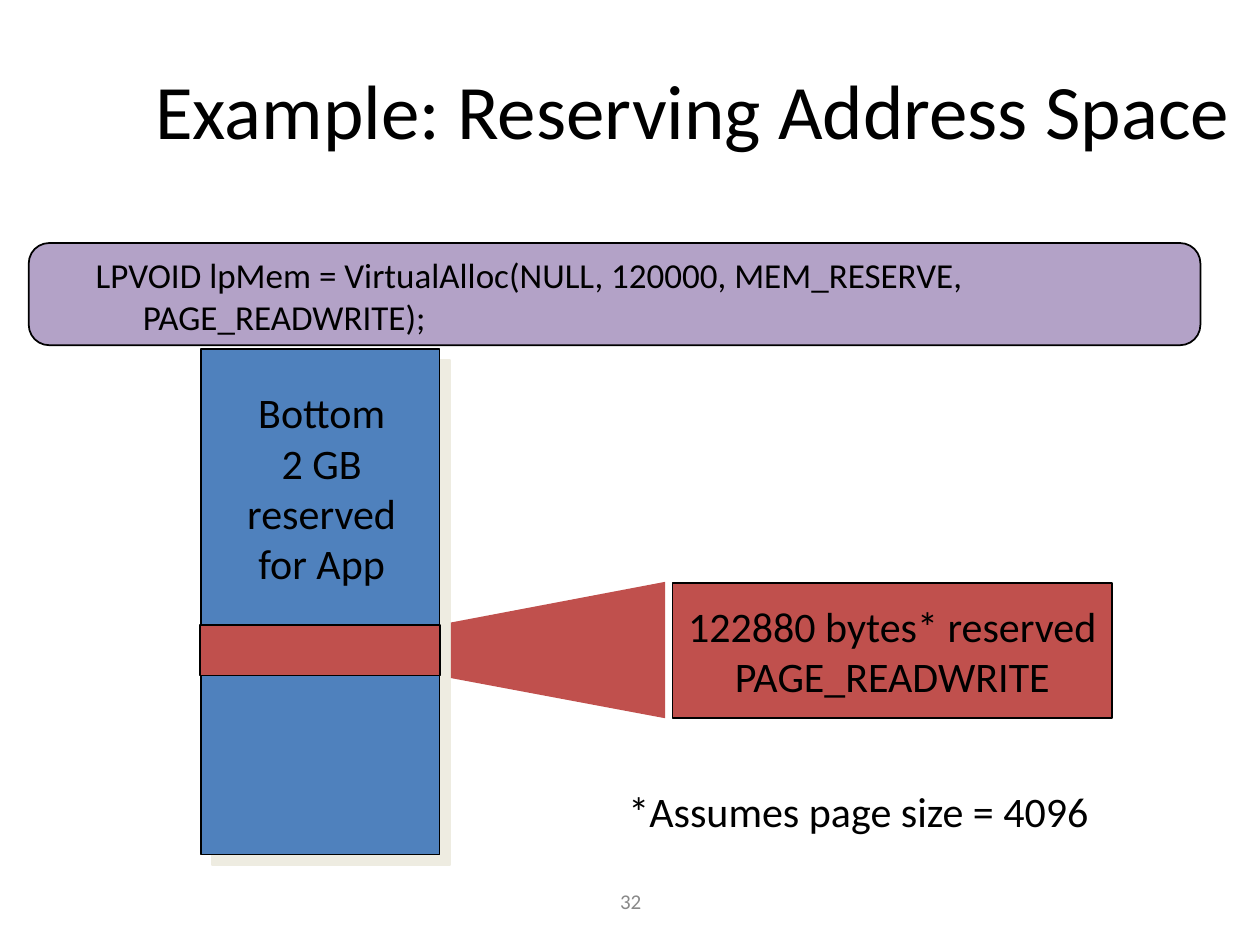
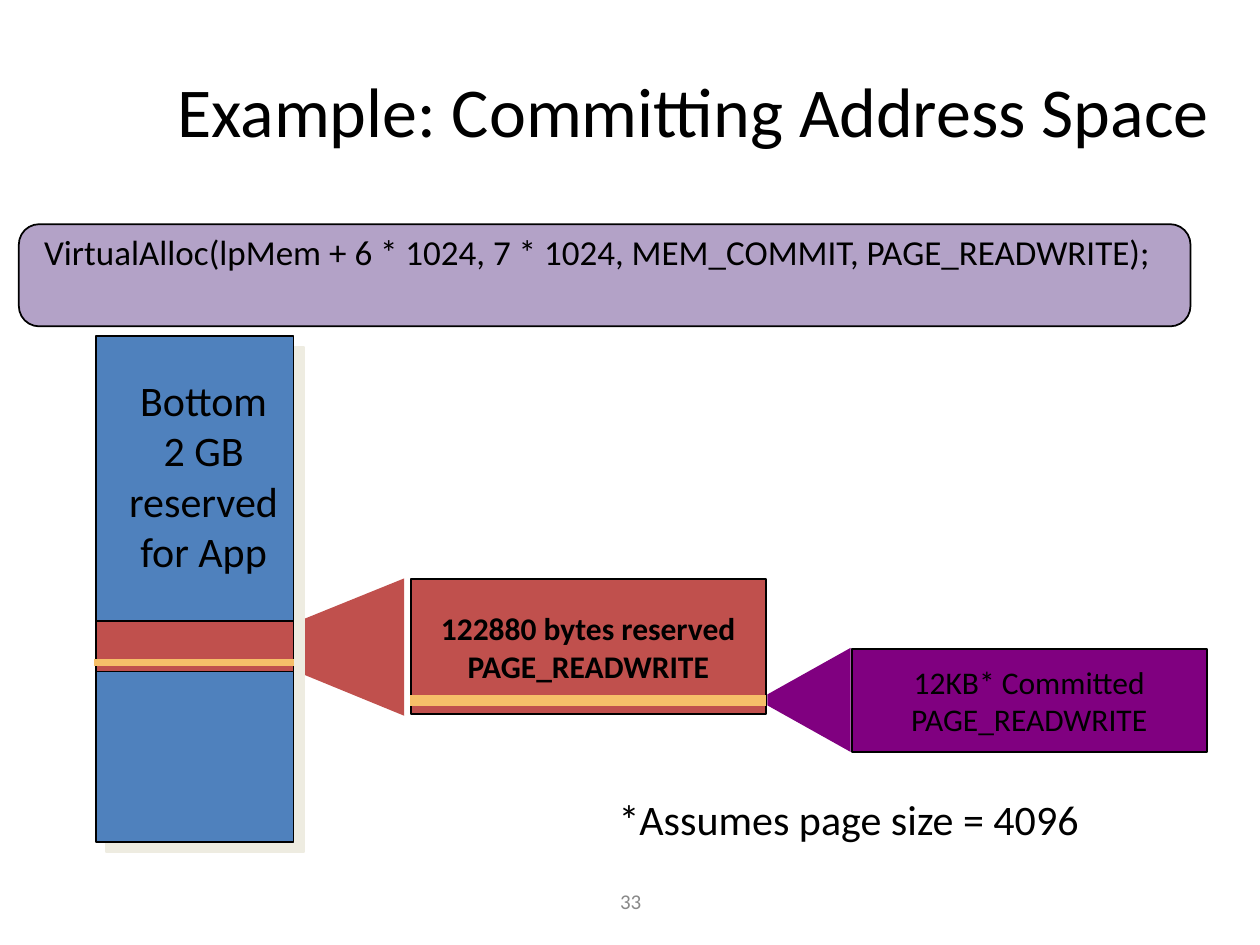
"""Build two slides on reserving and committing address space."""
from dataclasses import dataclass

from lxml.etree import SubElement
from pptx import Presentation
from pptx.dml.color import RGBColor
from pptx.enum.shapes import MSO_CONNECTOR, MSO_SHAPE
from pptx.enum.text import MSO_ANCHOR, MSO_AUTO_SIZE, PP_ALIGN
from pptx.oxml.ns import qn
from pptx.util import Cm, Pt

FONT = "Calibri"
BLACK, GREY = "000000", "898989"
LILAC, BLUE, RED, PURPLE = "B3A2C7", "4F81BD", "C0504D", "800080"
ORANGE, SHADOW = "F6BF69", "EEECE1"
TOWER_HEIGHT = 10.19
BAND_HEIGHT = 1.02
TOWER_TEXT = "Bottom\v2 GB\vreserved\vfor App"
NOTE_TEXT = "*Assumes page size = 4096"


@dataclass(frozen=True)
class Area:
    left: float
    top: float
    width: float
    height: float

    def lengths(self) -> tuple:
        return Cm(self.left), Cm(self.top), Cm(self.width), Cm(self.height)


@dataclass(frozen=True)
class Style:
    size: int
    color: str = BLACK
    bold: bool = False
    align: PP_ALIGN = PP_ALIGN.CENTER
    anchor: MSO_ANCHOR = MSO_ANCHOR.TOP
    wrap: bool = False


@dataclass(frozen=True)
class Block:
    area: Area
    fill: str
    text: str
    style: Style


@dataclass(frozen=True)
class Cone:
    left: float
    right: float
    narrow: tuple[float, float]
    wide: tuple[float, float]
    fill: str


@dataclass(frozen=True)
class Stripe:
    start: float
    end: float
    level: float
    weight: int


@dataclass(frozen=True)
class MemorySlide:
    number: str
    title: str
    title_size: int
    banner: tuple[float, float]
    code: str
    code_area: Area
    tower: tuple[float, float, float]
    label: tuple[float, float]
    band: tuple[float, float, float]
    note: tuple[float, float]
    cones: tuple[Cone, ...]
    blocks: tuple[Block, ...]
    stripes: tuple[Stripe, ...] = ()


def rgb(color: str) -> RGBColor:
    return RGBColor.from_string(color)


def write(box, text: str, style: Style) -> None:
    frame = box.text_frame
    frame.text = text
    frame.word_wrap = style.wrap
    frame.auto_size = MSO_AUTO_SIZE.NONE
    frame.vertical_anchor = style.anchor
    for para in frame.paragraphs:
        para.alignment = style.align
        for span in para.runs:
            span.font.name = FONT
            span.font.size = Pt(style.size)
            span.font.bold = style.bold
            span.font.color.rgb = rgb(style.color)


def add_text(page, area: Area, text: str, style: Style):
    box = page.shapes.add_textbox(*area.lengths())
    write(box, text, style)
    return box


def add_box(page, area: Area, fill: str, kind=MSO_SHAPE.RECTANGLE):
    box = page.shapes.add_shape(kind, *area.lengths())
    box.shadow.inherit = False
    box.fill.solid()
    box.fill.fore_color.rgb = rgb(fill)
    box.line.color.rgb = rgb(BLACK)
    box.line.width = Pt(1)
    return box


def add_shadow(box) -> None:
    effects = box._element.spPr.find(qn("a:effectLst"))
    shadow = SubElement(effects, qn("a:outerShdw"), dist=str(Pt(8.5)),
                        dir="2700000", algn="ctr", rotWithShape="0")
    SubElement(shadow, qn("a:srgbClr"), val=SHADOW)


def add_cone(page, cone: Cone) -> None:
    corners = [(cone.right, cone.wide[0]), (cone.left, cone.narrow[0]),
               (cone.left, cone.narrow[1]), (cone.right, cone.wide[1])]
    points = [(Cm(across), Cm(down)) for across, down in corners]
    builder = page.shapes.build_freeform(*points[0])
    builder.add_line_segments(points[1:], close=True)
    shape = builder.convert_to_shape()
    shape.shadow.inherit = False
    shape.fill.solid()
    shape.fill.fore_color.rgb = rgb(cone.fill)
    shape.line.fill.background()


def add_stripe(page, stripe: Stripe) -> None:
    line = page.shapes.add_connector(
        MSO_CONNECTOR.STRAIGHT, Cm(stripe.start), Cm(stripe.level),
        Cm(stripe.end), Cm(stripe.level))
    line.line.color.rgb = rgb(ORANGE)
    line.line.width = Pt(stripe.weight)
    SubElement(line._element.spPr, qn("a:effectLst"))


def add_code(page, area: Area, code: str) -> None:
    box = add_text(page, area, code, Style(20, align=PP_ALIGN.LEFT, wrap=True))
    properties = box.text_frame.paragraphs[0]._p.get_or_add_pPr()
    properties.set("marL", str(Cm(0.95)))
    properties.set("indent", str(-Cm(0.95)))


def add_memory_slide(deck, slide: MemorySlide) -> None:
    page = deck.slides.add_slide(deck.slide_layouts[5])
    title = page.shapes.title
    title.left, title.top, title.width, title.height = Area(
        2.54, 0.61, 22.86, 3.18).lengths()
    write(title, slide.title,
          Style(slide.title_size, anchor=MSO_ANCHOR.MIDDLE, wrap=True))
    add_text(page, Area(8.69, 17.65, 8.05, 1.02), slide.number,
             Style(12, GREY, anchor=MSO_ANCHOR.MIDDLE, wrap=True))

    banner = add_box(page, Area(*slide.banner, 23.62, 2.06), LILAC,
                     MSO_SHAPE.ROUNDED_RECTANGLE)
    banner.adjustments[0] = 0.2
    add_code(page, slide.code_area, slide.code)

    add_shadow(add_box(page, Area(*slide.tower, TOWER_HEIGHT), BLUE))
    add_text(page, Area(*slide.label, 3.53, 4.32), TOWER_TEXT, Style(24))
    add_box(page, Area(*slide.band, BAND_HEIGHT), RED)
    for cone in slide.cones:
        add_cone(page, cone)
    for block in slide.blocks:
        write(add_box(page, block.area, block.fill), block.text, block.style)
    for stripe in slide.stripes:
        add_stripe(page, stripe)
    add_text(page, Area(*slide.note, 9.8, 1.27), NOTE_TEXT,
             Style(24, align=PP_ALIGN.LEFT))


RESERVING = MemorySlide(
    number="32",
    title="Example: Reserving Address Space",
    title_size=44,
    banner=(0.58, 4.9),
    code="LPVOID lpMem = VirtualAlloc(NULL, 120000, MEM_RESERVE, PAGE_READWRITE);",
    code_area=Area(1.68, 4.98, 21.62, 2.06),
    tower=(4.06, 7.04, 4.8),
    label=(4.72, 7.67),
    band=(4.04, 12.6, 4.83),
    note=(12.42, 15.72),
    cones=(Cone(9.09, 13.41, (12.55, 13.67), (11.73, 14.48), RED),),
    blocks=(Block(Area(13.56, 11.76, 8.86, 2.72), RED,
                  "122880 bytes* reserved\vPAGE_READWRITE",
                  Style(24, anchor=MSO_ANCHOR.MIDDLE)),),
)

COMMITTING = MemorySlide(
    number="33",
    title="Example: Committing Address Space",
    title_size=40,
    banner=(0.38, 4.52),
    code="VirtualAlloc(lpMem + 6 * 1024, 7 * 1024, MEM_COMMIT, PAGE_READWRITE);",
    code_area=Area(0.64, 4.52, 23.93, 2.06),
    tower=(1.93, 6.78, 3.99),
    label=(2.34, 7.42),
    band=(1.93, 12.52, 3.99),
    note=(12.22, 15.88),
    cones=(Cone(6.15, 8.15, (12.47, 13.61), (11.66, 14.43), RED),
           Cone(15.47, 17.15, (14.0, 14.22), (13.06, 15.16), PURPLE)),
    blocks=(Block(Area(8.28, 11.68, 7.16, 2.72), RED,
                  "122880 bytes reserved\vPAGE_READWRITE",
                  Style(18, bold=True, anchor=MSO_ANCHOR.MIDDLE)),
            Block(Area(17.17, 13.08, 7.16, 2.08), PURPLE,
                  "12KB* Committed\vPAGE_READWRITE",
                  Style(18, anchor=MSO_ANCHOR.MIDDLE))),
    stripes=(Stripe(5.92, 1.9, 13.36, 4), Stripe(8.26, 15.44, 14.12, 6)),
)


def main() -> None:
    deck = Presentation()
    deck.slide_width, deck.slide_height = Cm(25.4), Cm(19.05)
    for slide in (RESERVING, COMMITTING):
        add_memory_slide(deck, slide)
    deck.save("out.pptx")


if __name__ == "__main__":
    main()
